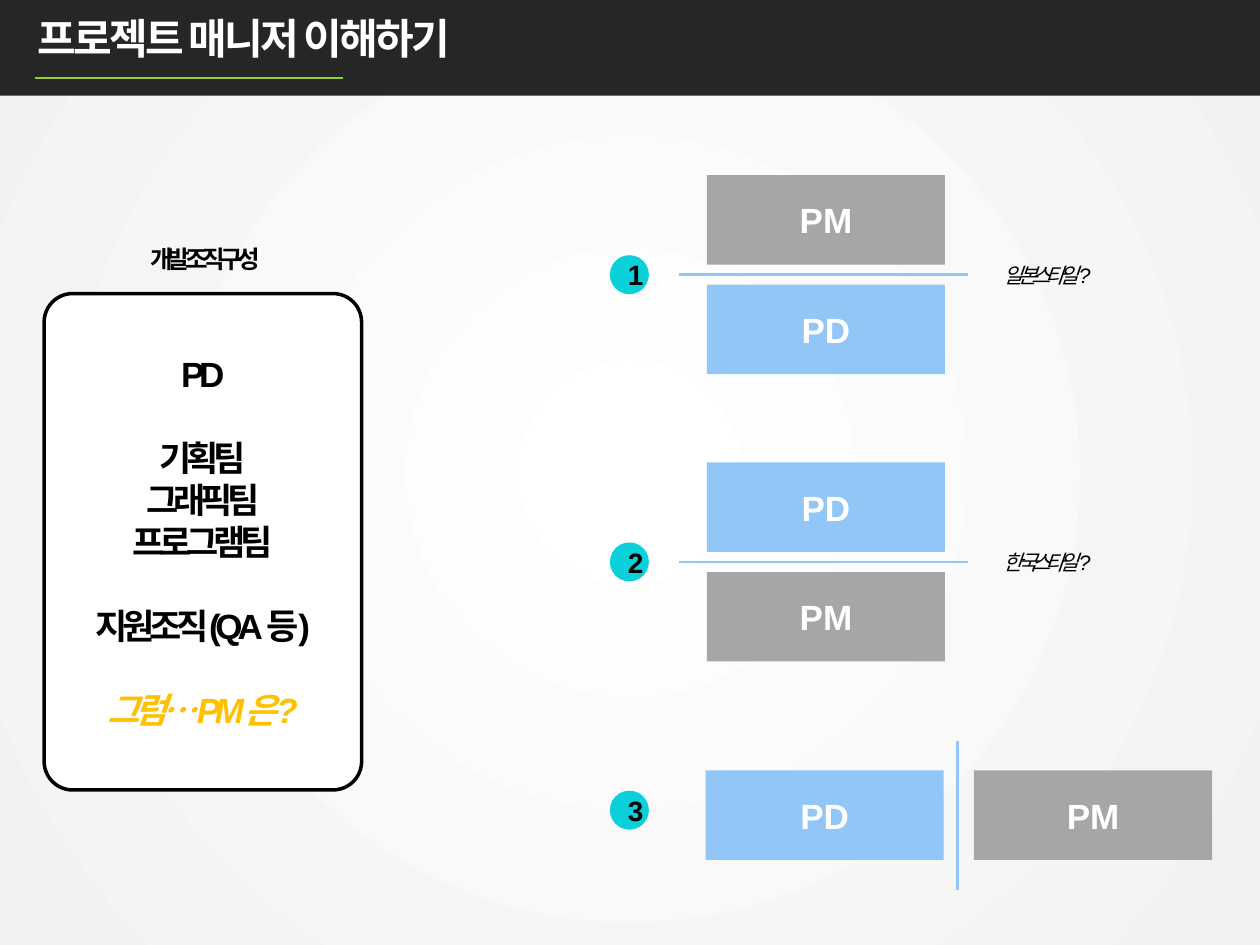
from lxml import etree
from pptx import Presentation
from pptx import util as u
from pptx.dml.color import RGBColor
from pptx.enum import shapes, text
from pptx.oxml.ns import qn

WIDTH, HEIGHT = u.Inches(10), u.Inches(7.5)
COLUMN, ROW = WIDTH / 100, HEIGHT / 75
FONT = "Arial"
BLACK, WHITE, DARK = "000000", "FFFFFF", "262626"
BLUE, GRAY, TEAL = "91C6F7", "A6A6A6", "0BD0D9"
GREEN, AMBER = "91CF3A", "FFC000"
ROLE_COLORS = {"PD": BLUE, "PM": GRAY}
ROLE_WIDTH, ROLE_HEIGHT = 18.9, 7.1
LEFT, CENTER = text.PP_ALIGN.LEFT, text.PP_ALIGN.CENTER


def color(hex_code):
    return RGBColor.from_string(hex_code)


def place(left, top, width, height):
    """Turn grid columns and rows into slide lengths."""
    return (u.Emu(int(left * COLUMN)), u.Emu(int(top * ROW)),
            u.Emu(int(width * COLUMN)), u.Emu(int(height * ROW)))


def paint_background(page):
    fill = page.background.fill
    fill.gradient()
    for stop, shade in zip(fill.gradient_stops, (WHITE, "F2F2F2")):
        stop.color.rgb = color(shade)
    linear = page.element.find(".//" + qn("a:lin"))
    radial = etree.Element(qn("a:path"), {"path": "circle"})
    etree.SubElement(radial, qn("a:fillToRect"),
                     {side: "50000" for side in "ltrb"})
    linear.getparent().replace(linear, radial)


def add_block(page, kind, area, fill, outline=None):
    block = page.shapes.add_shape(kind, *place(*area))
    block.shadow.inherit = False
    block.fill.solid()
    block.fill.fore_color.rgb = color(fill)
    if outline:
        block.line.color.rgb = color(outline)
        block.line.width = u.Pt(2)
    else:
        block.line.fill.background()
    return block


def add_rule(page, start, end, shade):
    left, top, right, bottom = place(*start, *end)
    rule = page.shapes.add_connector(
        shapes.MSO_CONNECTOR.STRAIGHT, left, top, right, bottom)
    rule.line.color.rgb = color(shade)
    rule.line.width = u.Pt(1.5)
    etree.SubElement(rule.element.spPr, qn("a:effectLst"))


def style(para, size, shade, bold=True, italic=False, spacing=0, align=CENTER):
    """Format a paragraph; spacing is between letters, in points."""
    para.alignment = align
    font = para.font
    font.name, font.size, font.bold, font.italic = FONT, u.Pt(size), bold, italic
    font.color.rgb = color(shade)
    if spacing:
        defaults = para._p.find(".//" + qn("a:defRPr"))
        defaults.set("spc", str(int(spacing * 100)))


def write(box, words, size, shade, **looks):
    frame = box.text_frame
    frame.word_wrap = True
    frame.vertical_anchor = text.MSO_ANCHOR.MIDDLE
    para = frame.paragraphs[0]
    para.text = words
    style(para, size, shade, **looks)


def add_label(page, area, words, size, shade, **looks):
    write(page.shapes.add_textbox(*place(*area)), words, size, shade, **looks)


def add_role(page, left, top, role):
    area = (left, top, ROLE_WIDTH, ROLE_HEIGHT)
    block = add_block(page, shapes.MSO_SHAPE.RECTANGLE, area, ROLE_COLORS[role])
    write(block, role, 20, WHITE)


def add_number(page, middle, number):
    size = 3.1
    area = (48.4, middle - size / 2, size, size)
    dot = add_block(page, shapes.MSO_SHAPE.OVAL, area, TEAL)
    write(dot, str(number), 16, BLACK)
    frame = dot.text_frame
    frame.word_wrap = False
    frame.margin_right = frame.margin_top = frame.margin_bottom = 0


def add_stack(page, number, middle, upper, lower, question):
    """Two roles, one above the other, parted by a line at row middle."""
    gap = 0.8
    add_role(page, 56.1, middle - gap - ROLE_HEIGHT, upper)
    add_rule(page, (53.9, middle), (76.8, middle), BLUE)
    add_role(page, 56.1, middle + gap, lower)
    add_number(page, middle, number)
    add_label(page, (78.7, middle - 2.3, 16, 4.7), question, 12, BLACK,
              bold=False, italic=True, spacing=-3, align=LEFT)


def add_pair(page, number, middle):
    """Two roles side by side, parted by an upright line."""
    top = middle - ROLE_HEIGHT / 2
    add_role(page, 56, top, "PD")
    add_rule(page, (76, middle - 5.9), (76, middle + 5.9), BLUE)
    add_role(page, 77.3, top, "PM")
    add_number(page, middle - 0.4, number)


def add_organization(page):
    panel = add_block(page, shapes.MSO_SHAPE.ROUNDED_RECTANGLE,
                      (3.5, 23.3, 25.2, 39.4), WHITE, BLACK)
    panel.adjustments[0] = 0.09
    write(panel, "PD", 20, BLACK, spacing=-3)
    groups = (("기획팀", "그래픽팀", "프로그램팀"),
              ("지원조직(QA 등)",), ("그럼…PM은?",))
    for group in groups:
        last = group is groups[-1]
        for index, words in enumerate(group):
            para = panel.text_frame.add_paragraph()
            para.text = words
            para.space_before = u.Pt(0 if index else 24)
            style(para, 20, AMBER if last else BLACK, italic=last, spacing=-3)
    add_label(page, (3.7, 17, 25.2, 7.1), "개발조직 구성", 14, BLACK, spacing=-3)


def add_header(page):
    add_block(page, shapes.MSO_SHAPE.RECTANGLE, (0, 0, 100, 7.6), DARK)
    add_label(page, (2, 0.5, 63.8, 5), "프로젝트 매니저 이해하기", 24, WHITE,
              spacing=-1.5, align=LEFT)
    add_rule(page, (2.8, 6.2), (27.2, 6.2), GREEN)


def main():
    deck = Presentation()
    deck.slide_width, deck.slide_height = WIDTH, HEIGHT
    page = deck.slides.add_slide(deck.slide_layouts[6])
    paint_background(page)
    add_header(page)
    add_organization(page)
    add_stack(page, 1, 21.8, "PM", "PD", "일본 스타일?")
    add_stack(page, 2, 44.6, "PD", "PM", "한국 스타일?")
    add_pair(page, 3, 64.7)
    deck.save("out.pptx")


if __name__ == "__main__":
    main()
